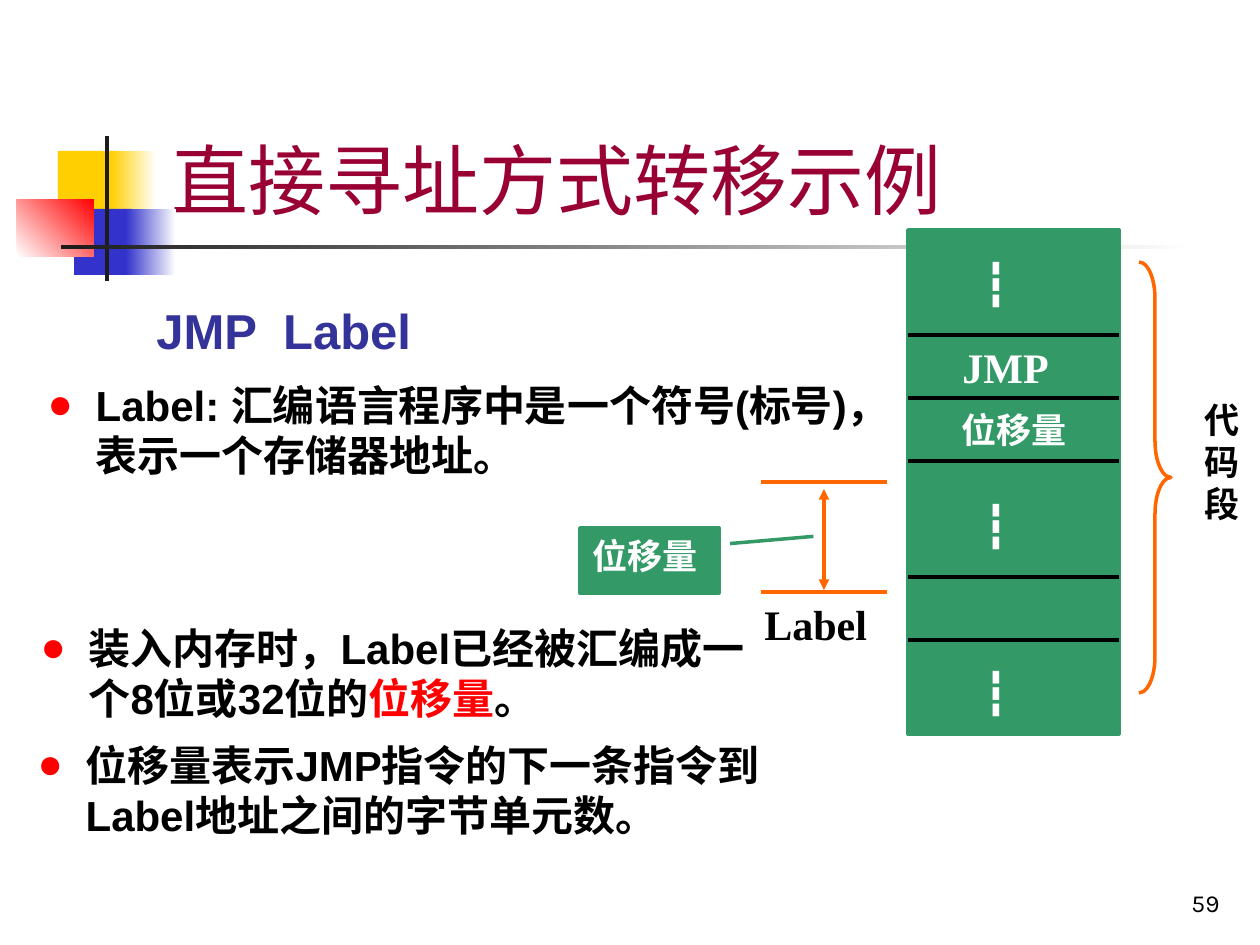
from dataclasses import dataclass

from lxml.etree import SubElement
from pptx import Presentation
from pptx.dml.color import RGBColor
from pptx.enum.shapes import MSO_CONNECTOR, MSO_SHAPE
from pptx.enum.text import MSO_ANCHOR, MSO_AUTO_SIZE, PP_ALIGN
from pptx.oxml.ns import qn
from pptx.util import Emu, Pt

PX_PER_INCH = 126


@dataclass(frozen=True)
class Theme:
    yellow: str = "FFCF01"
    blue: str = "3333CC"
    red: str = "FF0000"
    charcoal: str = "1C1C1C"
    white: str = "FFFFFF"
    black: str = "000000"
    maroon: str = "990033"
    indigo: str = "333399"
    green: str = "339966"
    orange: str = "FF6600"
    heading: str = "Karla"
    sans: str = "Arial"
    serif: str = "Times New Roman"
    title_size: int = 44
    code_size: int = 28
    body_size: int = 24
    label_size: int = 20
    number_size: int = 14
    line_width: int = 2


THEME = Theme()


def px(length):
    return Emu(round(length * 914400 / PX_PER_INCH))


def rgb(color):
    return RGBColor.from_string(color)


def place(shape, box):
    shape.left, shape.top, shape.width, shape.height = map(px, box)


def add_bullet(paragraph, color, indent):
    properties = paragraph._p.get_or_add_pPr()
    properties.set("marL", str(px(indent)))
    properties.set("indent", str(-px(indent)))
    bullet_color = SubElement(properties, qn("a:buClr"))
    SubElement(bullet_color, qn("a:srgbClr"), val=color)
    SubElement(properties, qn("a:buChar"), char="●")


def write_text(shape, *runs, size, color=THEME.black, font=THEME.serif, bold=True,
               align=PP_ALIGN.LEFT, anchor=MSO_ANCHOR.TOP, bullet=None):
    frame = shape.text_frame
    frame.word_wrap = True
    frame.auto_size = MSO_AUTO_SIZE.NONE
    frame.vertical_anchor = anchor
    paragraph = frame.paragraphs[0]
    if bullet:
        add_bullet(paragraph, bullet, 48)
    paragraph.alignment = align
    paragraph.space_before = Pt(0)
    for content in runs:
        words, run_color = content if isinstance(content, tuple) else (content, color)
        run = paragraph.add_run()
        run.text = words
        run.font.name = font
        run.font.size = Pt(size)
        run.font.bold = bold
        run.font.color.rgb = rgb(run_color)


def add_text(slide, box, *runs, **text_format):
    write_text(slide.shapes.add_textbox(*map(px, box)), *runs, **text_format)


def add_shape(slide, kind, box, fill=None, line=None, fade_to=None, angle=0, adjust=()):
    shape = slide.shapes.add_shape(kind, *map(px, box))
    shape.shadow.inherit = False
    for index, value in enumerate(adjust):
        shape.adjustments[index] = value
    if fade_to:
        shape.fill.gradient()
        shape.fill.gradient_angle = angle
        for stop, color in zip(shape.fill.gradient_stops, (fill, fade_to)):
            stop.color.rgb = rgb(color)
    elif fill:
        shape.fill.solid()
        shape.fill.fore_color.rgb = rgb(fill)
    else:
        shape.fill.background()
    if line:
        shape.line.color.rgb = rgb(line)
        shape.line.width = Pt(THEME.line_width)
    else:
        shape.line.fill.background()
    return shape


def add_line(slide, start, end, color, arrows=False):
    line = slide.shapes.add_connector(MSO_CONNECTOR.STRAIGHT, *map(px, start + end))
    line.line.color.rgb = rgb(color)
    line.line.width = Pt(THEME.line_width)
    if arrows:
        outline = line.line._get_or_add_ln()
        for tip in ("a:headEnd", "a:tailEnd"):
            SubElement(outline, qn(tip), type="triangle")
    SubElement(line._element.spPr, qn("a:effectLst"))


def add_ornament(slide):
    blocks = [
        ((58, 151, 60, 66), THEME.yellow, None, 0),
        ((111, 151, 45, 66), THEME.yellow, THEME.white, 0),
        ((74, 209, 58, 66), THEME.blue, None, 0),
        ((126, 209, 50, 66), THEME.blue, THEME.white, 0),
        ((17, 199, 77, 58), THEME.white, THEME.red, 45),
        ((105, 136, 4, 145), THEME.charcoal, None, 0),
        ((61, 245, 1134, 4), THEME.charcoal, THEME.white, 0),
    ]
    for box, fill, fade_to, angle in blocks:
        add_shape(slide, MSO_SHAPE.RECTANGLE, box, fill, fade_to=fade_to, angle=angle)


def add_code_segment(slide):
    left, top, width, height = 908, 230, 211, 504
    add_shape(slide, MSO_SHAPE.RECTANGLE, (left, top, width, height), THEME.green, THEME.green)
    for y in (335, 398, 461, 577, 640):
        add_line(slide, (left, y), (left + width, y), THEME.black)
    for y in (251, 493, 660):
        add_text(slide, (971, y, 73, 63), "┇", size=THEME.body_size, color=THEME.white)
    add_text(slide, (950, 335, 147, 63), "JMP", size=THEME.body_size, color=THEME.white)
    add_text(slide, (949, 402, 147, 55), "位移量", size=THEME.label_size,
             color=THEME.white, font=THEME.sans)
    add_shape(slide, MSO_SHAPE.RIGHT_BRACE, (1139, 262, 32, 431), line=THEME.orange,
              adjust=(1.14, 0.5))
    add_text(slide, (1192, 392, 64, 139), "代码段", size=THEME.label_size)


def add_offset_measure(slide):
    left, right, middle = 761, 887, 824
    for y in (482, 592):
        add_line(slide, (left, y), (right, y), THEME.orange)
    add_line(slide, (middle, 489), (middle, 590), THEME.orange, arrows=True)
    add_text(slide, (752, 592, 144, 63), "Label", size=THEME.body_size)
    callout = add_shape(slide, MSO_SHAPE.LINE_CALLOUT_1, (580, 528, 139, 65),
                        THEME.green, THEME.green, adjust=(0.24, 1.08, 0.13, 1.68))
    write_text(callout, "位移量", size=THEME.label_size, color=THEME.white)


def fill_placeholders(slide):
    title = slide.shapes.title
    place(title, (159, 29, 1073, 202))
    write_text(title, "直接寻址方式转移示例", size=THEME.title_size, color=THEME.maroon,
               font=THEME.heading, bold=False, anchor=MSO_ANCHOR.BOTTOM)
    points = [
        ((35, 373, 874, 115), ["Label: 汇编语言程序中是一个符号(标号)，表示一个存储器地址。"]),
        ((28, 616, 730, 115), ["装入内存时，Label已经被汇编成一个8位或32位的",
                               ("位移量", THEME.red), "。"]),
        ((25, 733, 851, 115), ["位移量表示JMP指令的下一条指令到Label地址之间的字节单元数。"]),
    ]
    bodies = list(slide.placeholders)[1:]
    for body, (box, runs) in zip(bodies, points):
        place(body, box)
        write_text(body, *runs, size=THEME.body_size, font=THEME.sans, bullet=THEME.red)
    for unused in bodies[len(points):]:
        unused._element.getparent().remove(unused._element)


def main():
    deck = Presentation()
    deck.slide_width, deck.slide_height = px(1260), px(945)
    comparison_layout = deck.slide_layouts[4]
    slide = deck.slides.add_slide(comparison_layout)
    fill_placeholders(slide)
    add_ornament(slide)
    add_text(slide, (144, 294, 318, 72), "JMP  Label", size=THEME.code_size,
             color=THEME.indigo, font=THEME.sans)
    add_code_segment(slide)
    add_offset_measure(slide)
    add_text(slide, (970, 861, 262, 63), "59", size=THEME.number_size, font=THEME.heading,
             bold=False, align=PP_ALIGN.RIGHT, anchor=MSO_ANCHOR.BOTTOM)
    deck.save("out.pptx")


if __name__ == "__main__":
    main()
